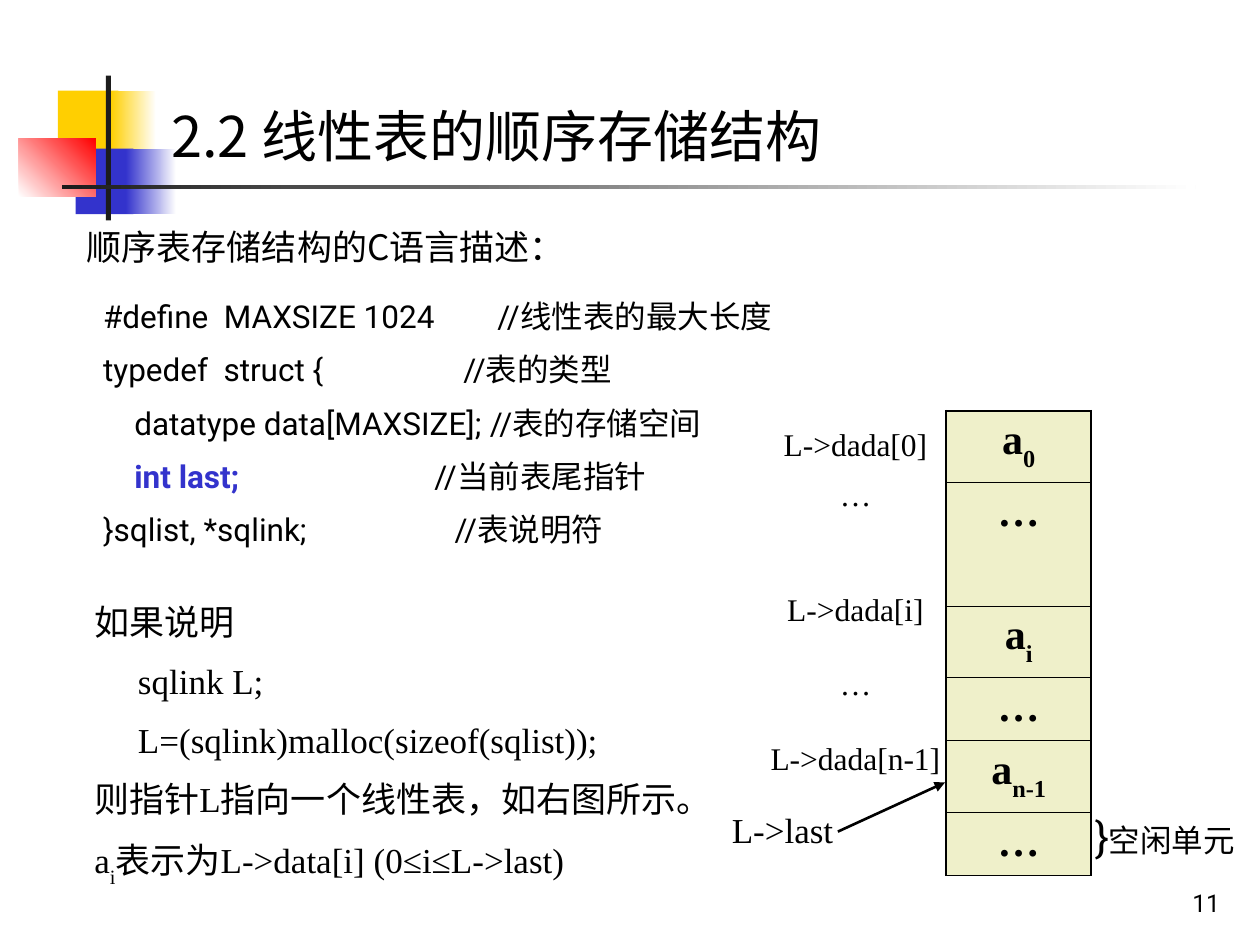
"""Build a slide on the sequential storage structure of linear lists."""
from lxml import etree
from pptx import Presentation
from pptx import util as u
from pptx.dml.color import RGBColor
from pptx.enum import shapes, text
from pptx.oxml import parse_xml
from pptx.oxml.ns import nsdecls, qn

SANS, SERIF, CJK = "Roboto", "Times New Roman", "Noto Sans CJK SC"
LEFT, CENTER, RIGHT = text.PP_ALIGN.LEFT, text.PP_ALIGN.CENTER, text.PP_ALIGN.RIGHT
BLACK, WHITE, BLUE, YELLOW = "000000", "FFFFFF", "3333CC", "FFCF01"


def colour(value):
    return RGBColor.from_string(value)


def write(frame, lines, size=18, font=SANS, asian=CJK, bold=False, align=LEFT,
          leading=None, before=0, hang=0, stops=(), anchor=text.MSO_ANCHOR.TOP):
    frame.word_wrap = True
    frame.vertical_anchor = anchor
    for index, spans in enumerate(lines):
        para = frame.paragraphs[0] if index == 0 else frame.add_paragraph()
        props = para._p.get_or_add_pPr()
        if hang:
            props.set("marL", str(u.Inches(hang)))
            props.set("indent", str(-u.Inches(hang)))
        if stops:
            tabs = etree.SubElement(props, qn("a:tabLst"))
            etree.SubElement(tabs, qn("a:tab"), pos=str(u.Inches(stops[index])), algn="l")
        para.alignment = align
        para.line_spacing = leading
        if index and before:
            para.space_before = u.Pt(before)
        for words, look in spans:
            span = para.add_run()
            span.text = words
            span.font.size = u.Pt(look.get("size", size))
            span.font.bold = look.get("bold", bold)
            span.font.color.rgb = colour(look.get("color", BLACK))
            span.font.name = font
            run_props = span._r.get_or_add_rPr()
            etree.SubElement(run_props, qn("a:ea"), typeface=asian)
            if look.get("sub"):
                run_props.set("baseline", "-30000")


deck = Presentation()
deck.slide_width, deck.slide_height = u.Inches(10), u.Inches(7.5)
page = deck.slides.add_slide(deck.slide_layouts[6])

ornaments = [
    (0.46, 0.72, 0.48, 0.52, [YELLOW], 0),
    (0.88, 0.72, 0.36, 0.52, [YELLOW, WHITE], 0),
    (0.6, 1.18, 0.46, 0.52, [BLUE], 0),
    (1, 1.18, 0.4, 0.52, [BLUE, WHITE], 0),
    (0.15, 1.1, 0.61, 0.46, [WHITE, "FF0000"], 45),
    (0.84, 0.6, 0.04, 1.15, ["1C1C1C"], 0),
    (0.49, 1.47, 9, 0.03, ["1C1C1C", WHITE], 0),
]
for left, top, width, height, colours, angle in ornaments:
    block = page.shapes.add_shape(shapes.MSO_SHAPE.RECTANGLE, u.Inches(left), u.Inches(top),
                                  u.Inches(width), u.Inches(height))
    block.shadow.inherit = False
    block.line.fill.background()
    if len(colours) == 1:
        block.fill.solid()
        block.fill.fore_color.rgb = colour(colours[0])
    else:
        block.fill.gradient()
        block.fill.gradient_angle = angle
        for stop, value, position in zip(block.fill.gradient_stops, colours, (0, 1)):
            stop.color.rgb = colour(value)
            stop.position = position

code = [
    [("#define  MAXSIZE 1024\t//线性表的最大长度", {})],
    [("typedef  struct {\t//表的类型", {})],
    [("    datatype data[MAXSIZE];\t//表的存储空间", {})],
    [("    ", {}), ("int last;", {"color": BLUE, "bold": True}), ("\t//当前表尾指针", {})],
    [("}sqlist, *sqlink;\t//表说明符", {})],
]
usage = [
    [("如果说明", {})],
    [("     sqlink L;", {})],
    [("     L=(sqlink)malloc(sizeof(sqlist));", {})],
    [("则指针L指向一个线性表，如右图所示。", {})],
    [("a", {}), ("i", {"sub": True}), ("表示为L->data[i] (0≤i≤L->last)", {})],
]
BOTTOM = text.MSO_ANCHOR.BOTTOM
boxes = [
    (1.26, 0.76, 8.74, 0.64, [[("2.2 线性表的顺序存储结构", {})]],
     dict(size=32, font="Noto Sans CJK JP", asian="Noto Sans CJK JP")),
    (0.59, 1.74, 7.4, 0.44, [[("顺序表存储结构的C语言描述：", {})]], dict(size=20, font=CJK)),
    (0.72, 2.25, 7.73, 2.28, code,
     dict(leading=1.2, before=4.5, stops=(3.13, 2.86, 3.07, 2.63, 2.79))),
    (0.65, 4.65, 5.03, 2.35, usage,
     dict(size=20, font=SERIF, leading=1.2, before=5, hang=0.38)),
    (8.59, 6.08, 1.38, 0.8, [[("}", {"size": 24}), ("空闲单元", {})]], dict(anchor=BOTTOM)),
    (5.71, 6.3, 1.1, 0.65, [[("L->last", {})]],
     dict(size=20, font=SERIF, leading=1.2, hang=0.38)),
    (7.7, 6.83, 2.08, 0.5, [[("11", {})]], dict(size=14, align=RIGHT, anchor=BOTTOM)),
]

labels = [[(label, {})] for label in
          ("L->dada[0]", "…", "L->dada[i]", "…", "L->dada[n-1]", "")]
elements = [[("a", {}), ("0", {"sub": True})], [("…", {})],
            [("a", {}), ("i", {"sub": True})], [("…", {})],
            [("a", {}), ("n-1", {"sub": True})], [("…", {})]]
tables = [
    (6.01, 3.35, 1.56, (0.4, 0.91, 0.59, 0.59, 0.59, 0.59), labels, WHITE, False,
     dict(font=SERIF, align=CENTER)),
    (7.51, 3.26, 1.15, (0.57, 0.98, 0.57, 0.5, 0.57, 0.5), elements, "EFF0CA", True,
     dict(size=24, font=SERIF, bold=True, align=CENTER)),
]
for left, top, width, heights, rows, fill, ruled, look in tables:
    table = page.shapes.add_table(len(rows), 1, u.Inches(left), u.Inches(top),
                                  u.Inches(width), u.Inches(sum(heights))).table
    table.first_row = table.horz_banding = False
    for index, (height, spans) in enumerate(zip(heights, rows)):
        table.rows[index].height = u.Inches(height)
        cell = table.cell(index, 0)
        cell.margin_left = cell.margin_right = u.Inches(0.1)
        cell.margin_top = cell.margin_bottom = u.Inches(0.05)
        if ruled:
            weights = {"L": 1.08, "R": 1.08, "T": 1.08 if index == 0 else 0.45,
                       "B": 1.08 if index == len(rows) - 1 else 0.45}
            for side, weight in weights.items():
                cell._tc.get_or_add_tcPr().append(parse_xml(
                    f'<a:ln{side} {nsdecls("a")} w="{u.Pt(weight)}"><a:solidFill>'
                    f'<a:srgbClr val="{BLACK}"/></a:solidFill></a:ln{side}>'))
        cell.fill.solid()
        cell.fill.fore_color.rgb = colour(fill)
        write(cell.text_frame, [spans], **look)

for left, top, width, height, lines, look in boxes:
    box = page.shapes.add_textbox(u.Inches(left), u.Inches(top), u.Inches(width), u.Inches(height))
    write(box.text_frame, lines, **look)

arrow = page.shapes.add_connector(shapes.MSO_CONNECTOR.STRAIGHT, u.Inches(6.65), u.Inches(6.6),
                                  u.Inches(7.5), u.Inches(6.21))
arrow.line.color.rgb = colour(BLACK)
arrow.line.width = u.Pt(1.5)
etree.SubElement(arrow.line._get_or_add_ln(), qn("a:tailEnd"), type="triangle")
etree.SubElement(arrow._element.spPr, qn("a:effectLst"))

deck.save("out.pptx")
